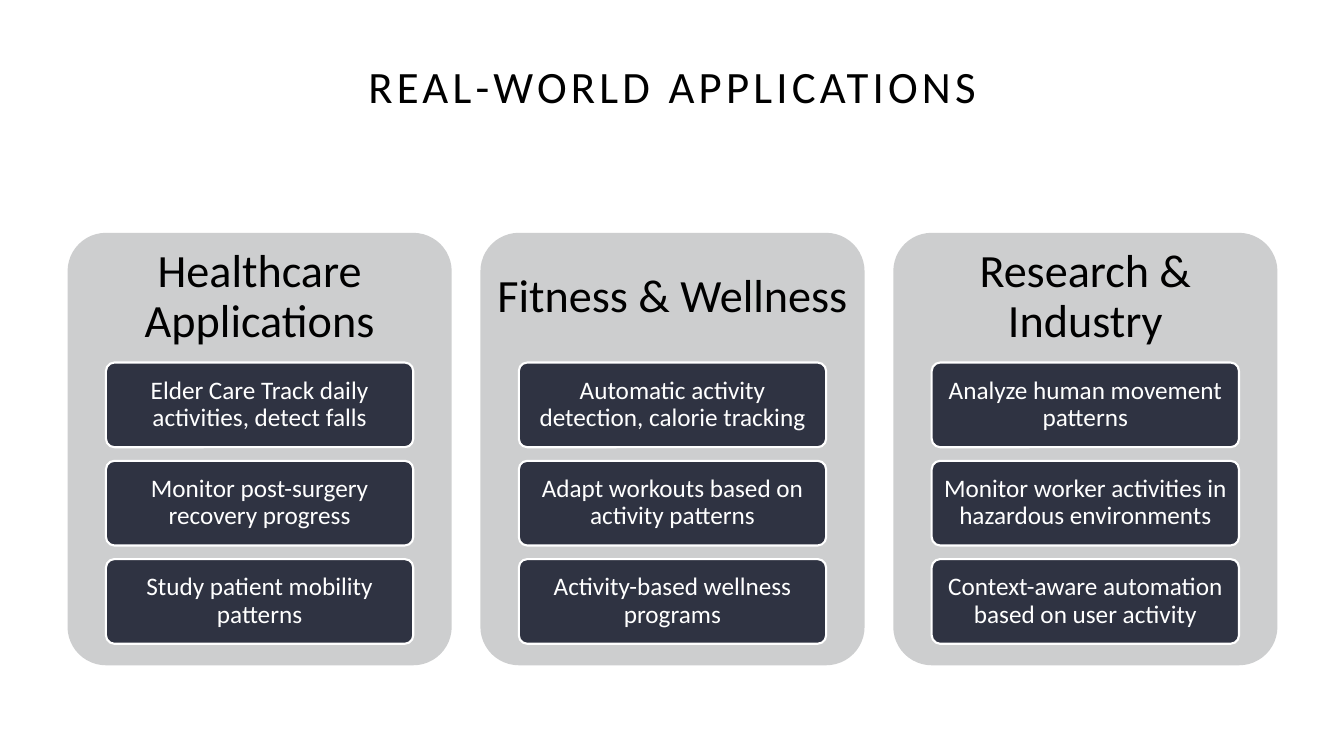
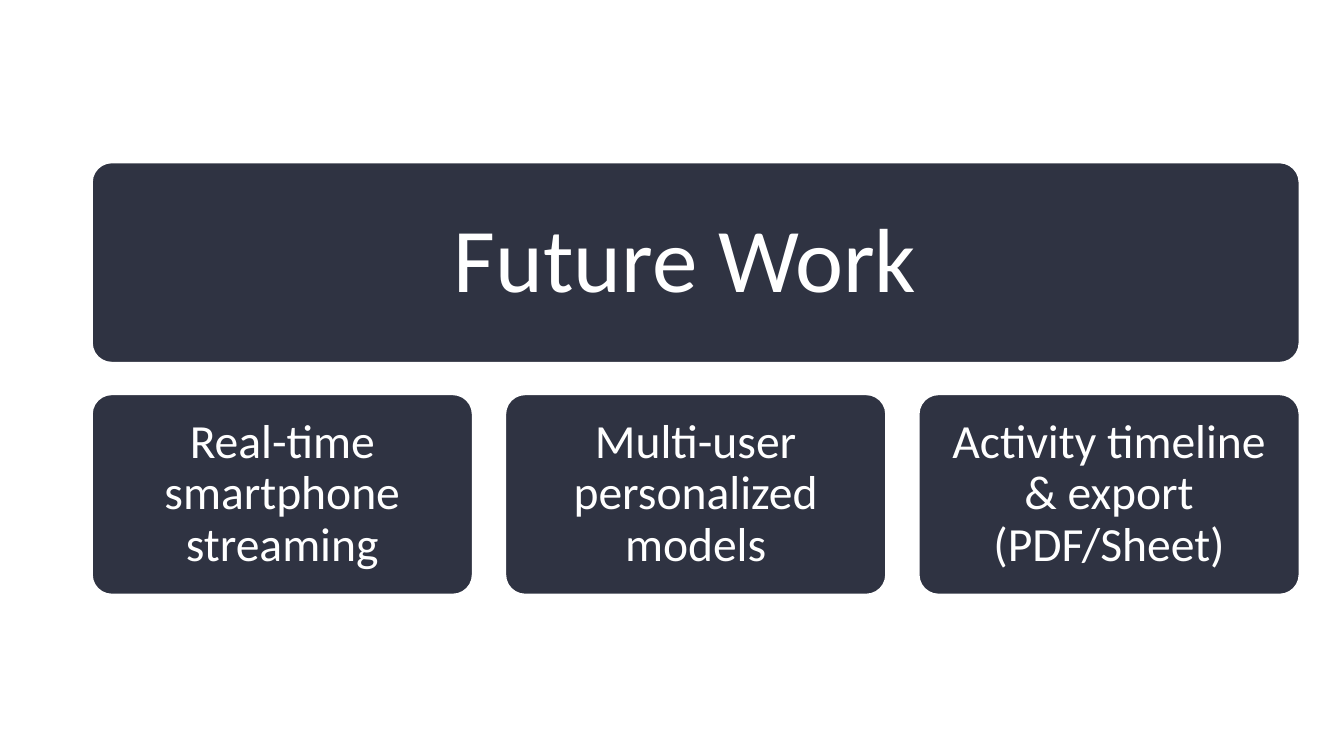
from pptx import Presentation
from pptx.dml.color import RGBColor
from pptx.enum.shapes import MSO_SHAPE
from pptx.enum.text import MSO_ANCHOR, PP_ALIGN
from pptx.util import Inches, Pt

ROUNDED = MSO_SHAPE.ROUNDED_RECTANGLE
MIDDLE = MSO_ANCHOR.MIDDLE
CENTER = PP_ALIGN.CENTER

BLACK = RGBColor(0x00, 0x00, 0x00)
WHITE = RGBColor(0xFF, 0xFF, 0xFF)
NAVY = RGBColor(0x2F, 0x33, 0x42)
SILVER = RGBColor(0xCD, 0xCE, 0xCF)
FONT = "Calibri"
TITLE_ONLY, BLANK = 5, 6

APPLICATIONS_TITLE = "REAL-WORLD APPLICATIONS"
APPLICATIONS = {
    "Healthcare Applications": [
        "Elder Care Track daily activities, detect falls",
        "Monitor post-surgery recovery progress",
        "Study patient mobility patterns",
    ],
    "Fitness & Wellness": [
        "Automatic activity detection, calorie tracking",
        "Adapt workouts based on activity patterns",
        "Activity-based wellness programs",
    ],
    "Research & Industry": [
        "Analyze human movement patterns",
        "Monitor worker activities in hazardous environments",
        "Context-aware automation based on user activity",
    ],
}
FUTURE_TITLE = "Future Work "
FUTURE_STEPS = [
    "Real-time smartphone streaming",
    "Multi-user personalized models",
    "Activity timeline & export (PDF/Sheet)",
]


def spread(start, total, size, count):
    step = (total - size) / (count - 1)
    return [start + step * index for index in range(count)]


def write(shape, text, size, color, inset_x, inset_y):
    frame = shape.text_frame
    frame_format = {
        "word_wrap": True,
        "vertical_anchor": MIDDLE,
        "margin_left": Inches(inset_x),
        "margin_right": Inches(inset_x),
        "margin_top": Inches(inset_y),
        "margin_bottom": Inches(inset_y),
    }
    for name, value in frame_format.items():
        setattr(frame, name, value)
    para = frame.paragraphs[0]
    para.alignment = CENTER
    para.line_spacing = 0.9
    span = para.add_run()
    span.text = text
    for name, value in {"name": FONT, "size": Pt(size)}.items():
        setattr(span.font, name, value)
    span.font.color.rgb = color
    return span


def add_card(page, place, fill, line=None):
    card = page.shapes.add_shape(ROUNDED, *map(Inches, place))
    card.adjustments[0] = 0.1
    card.shadow.inherit = False
    card.fill.solid()
    card.fill.fore_color.rgb = fill
    if line is None:
        card.line.fill.background()
    else:
        card.line.color.rgb = line
        card.line.width = Pt(1.5)
    return card


def add_label_card(page, place, text, size, inset_x, inset_y):
    card = add_card(page, place, NAVY, WHITE)
    write(card, text, size, WHITE, inset_x, inset_y)


def add_title(page, text):
    title = page.shapes.title
    place = {"left": 0.92, "top": 0.4, "width": 11.5, "height": 1.45}
    for name, value in place.items():
        setattr(title, name, Inches(value))
    span = write(title, text, 32, BLACK, 0.1, 0.05)
    title.text_frame.margin_bottom = Inches(0.53)
    span.font._element.set("spc", "300")


def build_applications(deck):
    page = deck.slides.add_slide(deck.slide_layouts[TITLE_ONLY])
    add_title(page, APPLICATIONS_TITLE)
    top, width, height = 2.31, 3.81, 4.29
    heading_height = height * 0.3
    item_width, item_height = width * 0.8, 0.84
    lefts = spread(0.67, 12, width, len(APPLICATIONS))
    for left, (heading, items) in zip(lefts, APPLICATIONS.items()):
        add_card(page, (left, top, width, height), SILVER)
        box = page.shapes.add_textbox(*map(Inches, (left, top, width, heading_height)))
        write(box, heading, 33, BLACK, 0.14, 0.14)
        item_left = left + (width - item_width) / 2
        item_tops = spread(top + heading_height, 2.79, item_height, len(items))
        for item_top, item in zip(item_tops, items):
            place = (item_left, item_top, item_width, item_height)
            add_label_card(page, place, item, 18, 0.05, 0.04)


def build_future(deck):
    page = deck.slides.add_slide(deck.slide_layouts[BLANK])
    left, total, width, height = 0.91, 11.98, 3.78, 1.99
    title_top, steps_top = spread(1.61, 4.29, height, 2)
    add_label_card(page, (left, title_top, total, height), FUTURE_TITLE, 65, 0.27, 0.27)
    for step_left, step in zip(spread(left, total, width, len(FUTURE_STEPS)), FUTURE_STEPS):
        add_label_card(page, (step_left, steps_top, width, height), step, 34, 0.14, 0.14)


def main():
    deck = Presentation()
    deck.slide_width, deck.slide_height = Inches(13.33), Inches(7.5)
    build_applications(deck)
    build_future(deck)
    deck.save("out.pptx")


if __name__ == "__main__":
    main()
